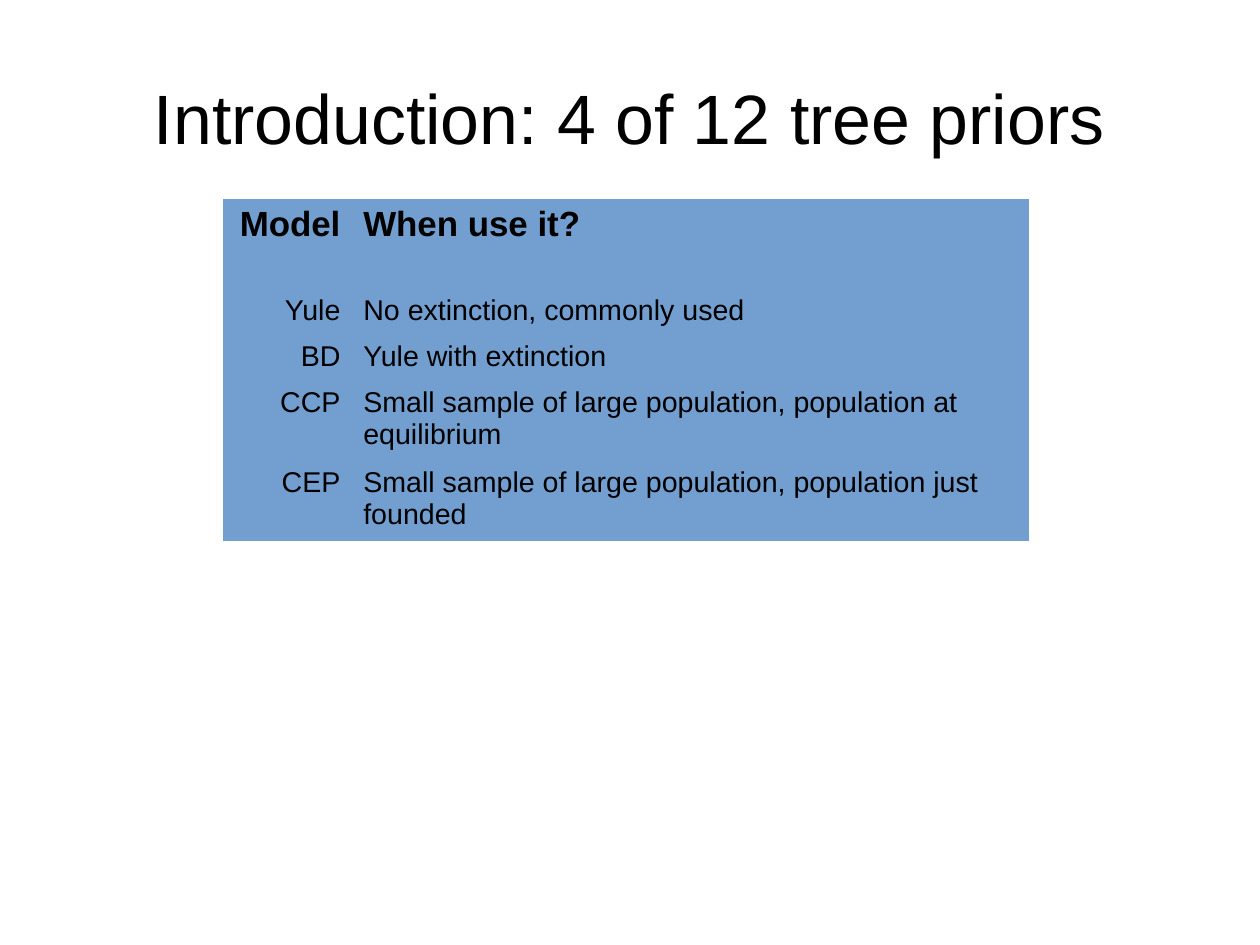
from dataclasses import dataclass

from pptx import Presentation
from pptx import util as u
from pptx.dml.color import RGBColor
from pptx.enum import text


@dataclass(frozen=True)
class Theme:
    font: str = "Arial"
    ink: RGBColor = RGBColor(0x00, 0x00, 0x00)
    table_fill: RGBColor = RGBColor(0x72, 0x9F, 0xCF)
    title_size: int = 44
    header_size: int = 22
    body_size: int = 18


NO_GRID_STYLE = "{2D5ABB26-0587-4C30-8999-92F81FD0307C}"

TREE_PRIORS = [
    ("Model", "When use it?"),
    ("Yule", "No extinction, commonly used"),
    ("BD", "Yule with extinction"),
    ("CCP", "Small sample of large population, population at equilibrium"),
    ("CEP", "Small sample of large population, population just founded"),
]
COLUMN_WIDTHS = [2.87, 15.04]
ROW_HEIGHTS = [2.01, 0.97, 0.97, 1.68, 1.68]


class PageBuilder:
    def __init__(self, page, theme):
        self.page = page
        self.theme = theme

    def set_text(self, frame, words, size, align, bold=False):
        para = frame.paragraphs[0]
        para.text = words
        para.alignment = align
        font = para.font
        font.name = self.theme.font
        font.size = u.Pt(size)
        font.bold = bold
        font.color.rgb = self.theme.ink

    def title(self, words, left, top, width, height):
        box = self.page.shapes.add_textbox(
            u.Cm(left), u.Cm(top), u.Cm(width), u.Cm(height))
        frame = box.text_frame
        frame.word_wrap = True
        frame.vertical_anchor = text.MSO_ANCHOR.MIDDLE
        frame.margin_left = frame.margin_right = 0
        frame.margin_top = frame.margin_bottom = 0
        self.set_text(frame, words, self.theme.title_size, text.PP_ALIGN.CENTER)

    def table(self, rows, left, top, widths, heights):
        holder = self.page.shapes.add_table(
            len(rows), len(widths), u.Cm(left), u.Cm(top),
            u.Cm(sum(widths)), u.Cm(sum(heights)))
        table = holder.table
        table.first_row = table.horz_banding = False
        table._tbl.tblPr[0].text = NO_GRID_STYLE
        for column, width in zip(table.columns, widths):
            column.width = u.Cm(width)
        for row, height in zip(table.rows, heights):
            row.height = u.Cm(height)
        for row_index, row in enumerate(rows):
            is_header = row_index == 0
            size = self.theme.header_size if is_header else self.theme.body_size
            for column_index, words in enumerate(row):
                cell = table.cell(row_index, column_index)
                cell.fill.solid()
                cell.fill.fore_color.rgb = self.theme.table_fill
                align = text.PP_ALIGN.LEFT if column_index else text.PP_ALIGN.RIGHT
                self.set_text(cell.text_frame, words, size, align, is_header)


def main():
    deck = Presentation()
    deck.slide_width, deck.slide_height = u.Cm(28), u.Cm(21)
    page = deck.slides.add_slide(deck.slide_layouts[6])
    builder = PageBuilder(page, Theme())
    builder.title("Introduction: 4 of 12 tree priors", 1.4, 0.84, 25.2, 3.5)
    builder.table(TREE_PRIORS, 4.95, 4.42, COLUMN_WIDTHS, ROW_HEIGHTS)
    deck.save("out.pptx")


if __name__ == "__main__":
    main()
